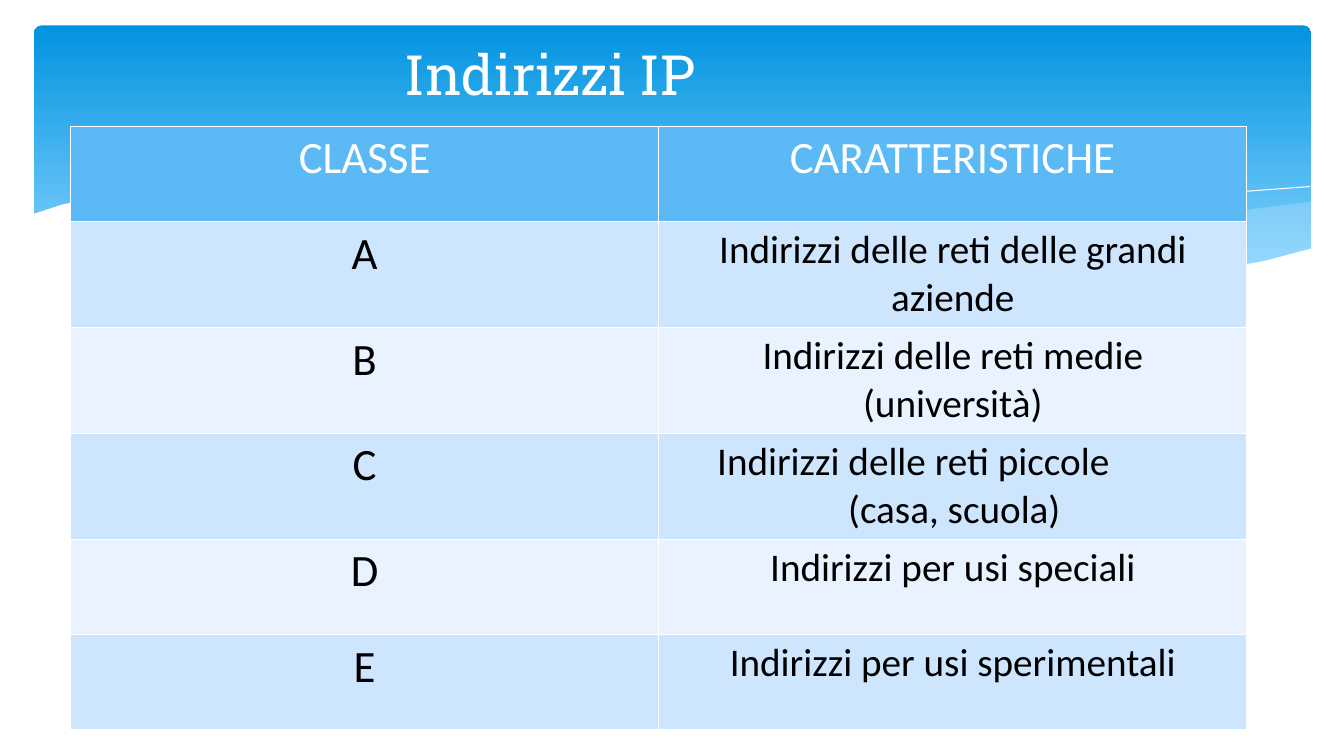
from dataclasses import dataclass

from lxml import etree
from pptx import Presentation
from pptx.dml.color import RGBColor
from pptx.enum.shapes import MSO_SHAPE
from pptx.enum.text import MSO_ANCHOR, MSO_AUTO_SIZE, PP_ALIGN
from pptx.oxml.ns import qn
from pptx.util import Cm, Pt

ROUNDED = MSO_SHAPE.ROUNDED_RECTANGLE
MIDDLE = MSO_ANCHOR.MIDDLE
CENTER, LEFT = PP_ALIGN.CENTER, PP_ALIGN.LEFT
NO_FIT = MSO_AUTO_SIZE.NONE


@dataclass(frozen=True)
class Theme:
    white: str = "FFFFFF"
    black: str = "000000"
    band_top: str = "0293E0"
    band_bottom: str = "83D3FE"
    wave: str = "C6E7FC"
    header: str = "5BBAF6"
    rows: tuple = ("CEE5FE", "E8F3FF")
    title_font: str = "Roboto Slab"
    body_font: str = "Calibri"
    title_size: float = 39.6
    class_size: int = 32
    text_size: int = 28


class Deck:
    """Draws the elements of one slide in a given theme."""

    def __init__(self, prs, theme):
        self.theme = theme
        self.s = prs.slides.add_slide(prs.slide_layouts[5])

    def font(self, p, name, size, color):
        p.font.name = name
        p.font.size = Pt(size)
        p.font.bold = False
        p.font.color.rgb = RGBColor.from_string(color)

    def band(self, left, top, width, height):
        sp = self.s.shapes.add_shape(ROUNDED, Cm(left), Cm(top), Cm(width), Cm(height))
        sp.adjustments[0] = 0.03
        sp.shadow.inherit = False
        sp.line.fill.background()
        sp.fill.gradient()
        sp.fill.gradient_angle = 270
        colors = (self.theme.band_top, self.theme.band_bottom)
        for stop, color, position in zip(sp.fill.gradient_stops, colors, (0, 0.9)):
            stop.color.rgb = RGBColor.from_string(color)
            stop.position = position

    def outline(self, points, close):
        (x, y), *rest = [(Cm(x), Cm(y)) for x, y in points]
        builder = self.s.shapes.build_freeform(x, y)
        builder.add_line_segments(rest, close=close)
        sp = builder.convert_to_shape()
        sp.shadow.inherit = False
        return sp

    def wave(self, points, color, opacity=100):
        sp = self.outline(points, True)
        sp.line.fill.background()
        sp.fill.solid()
        sp.fill.fore_color.rgb = RGBColor.from_string(color)
        if opacity < 100:
            clr = sp.fill._xPr.find(".//" + qn("a:srgbClr"))
            etree.SubElement(clr, qn("a:alpha"), val=str(opacity * 1000))

    def curve(self, points):
        sp = self.outline(points, False)
        sp.fill.background()
        sp.line.color.rgb = RGBColor.from_string(self.theme.white)
        sp.line.width = Pt(0)

    def title(self, text, left, top, width, height):
        sp = self.s.shapes.title
        sp.left, sp.top, sp.width, sp.height = Cm(left), Cm(top), Cm(width), Cm(height)
        tf = sp.text_frame
        tf.text = text
        tf.word_wrap = True
        tf.auto_size = NO_FIT
        tf.vertical_anchor = MIDDLE
        p = tf.paragraphs[0]
        p.alignment = CENTER
        self.font(p, self.theme.title_font, self.theme.title_size, self.theme.white)
        sp.element.getparent().append(sp.element)

    def cell(self, cell, text, size, color, fill):
        cell.fill.solid()
        cell.fill.fore_color.rgb = RGBColor.from_string(fill)
        p = cell.text_frame.paragraphs[0]
        p.text = text
        p.alignment = CENTER
        self.font(p, self.theme.body_font, size, color)

    def table(self, rows, left, top, col_width, heights):
        t = self.theme
        n_cols = len(rows[0])
        frame = self.s.shapes.add_table(
            len(rows), n_cols, Cm(left), Cm(top), Cm(col_width * n_cols), Cm(sum(heights)))
        table = frame.table
        for col in table.columns:
            col.width = Cm(col_width)
        for i, (texts, height) in enumerate(zip(rows, heights)):
            table.rows[i].height = Cm(height)
            fill = t.rows[(i - 1) % 2] if i else t.header
            color = t.black if i else t.white
            for j, text in enumerate(texts):
                size = t.text_size if i and j else t.class_size
                self.cell(table.cell(i, j), text, size, color, fill)
        return table

    def hang(self, cell, margin, indent):
        p = cell.text_frame.paragraphs[0]
        p.alignment = LEFT
        pPr = p._p.get_or_add_pPr()
        pPr.set("marL", str(Cm(margin)))
        pPr.set("indent", str(Cm(indent)))


ROWS = [
    ("CLASSE", "CARATTERISTICHE"),
    ("A", "Indirizzi delle reti delle grandi aziende"),
    ("B", "Indirizzi delle reti medie (università)"),
    ("C", "Indirizzi delle reti piccole\v(casa, scuola)"),
    ("D", "Indirizzi per usi speciali"),
    ("E", "Indirizzi per usi sperimentali"),
]
LIGHT_WAVE = [
    (33.05, 5.08), (31.65, 5.26), (29.13, 5.66), (25.53, 6.27), (22.4, 6.73),
    (24.79, 6.96), (27.2, 7.06), (29.23, 6.99), (30.94, 6.83), (32.16, 6.58),
    (33.05, 6.27)]
CREST = [
    (20.78, 6.53), (23.55, 5.97), (26.34, 5.49), (29.34, 5.05), (31.29, 4.83),
    (33.02, 4.7)]
WHITE_HILL = [
    (33.1, 6.25), (31.85, 6.58), (30.43, 6.83), (28.8, 6.99), (26.87, 7.01),
    (24.61, 6.91), (21.92, 6.65), (18.8, 6.22), (15.14, 5.59), (11.51, 5),
    (8.46, 4.72), (5.97, 4.67), (4.01, 4.75), (2.57, 4.95), (1.55, 5.16),
    (0.79, 5.41), (0.79, 8.36), (33.1, 8.36)]


def main():
    prs = Presentation()
    prs.slide_width, prs.slide_height = Cm(33.87), Cm(19.05)
    theme = Theme()
    deck = Deck(prs, theme)
    deck.band(0.85, 0.64, 32.2, 6.86)
    deck.wave(LIGHT_WAVE, theme.wave, 29)
    deck.curve(CREST)
    deck.wave(WHITE_HILL, theme.white)
    deck.title("Indirizzi IP", 1.93, 0.94, 23.88, 1.8)
    table = deck.table(ROWS, 1.78, 3.18, 14.82, [2.4, 2.62, 2.62, 2.62, 2.4, 2.4])
    deck.hang(table.cell(3, 1), 4.52, -3.3)
    prs.save("out.pptx")


if __name__ == "__main__":
    main()
